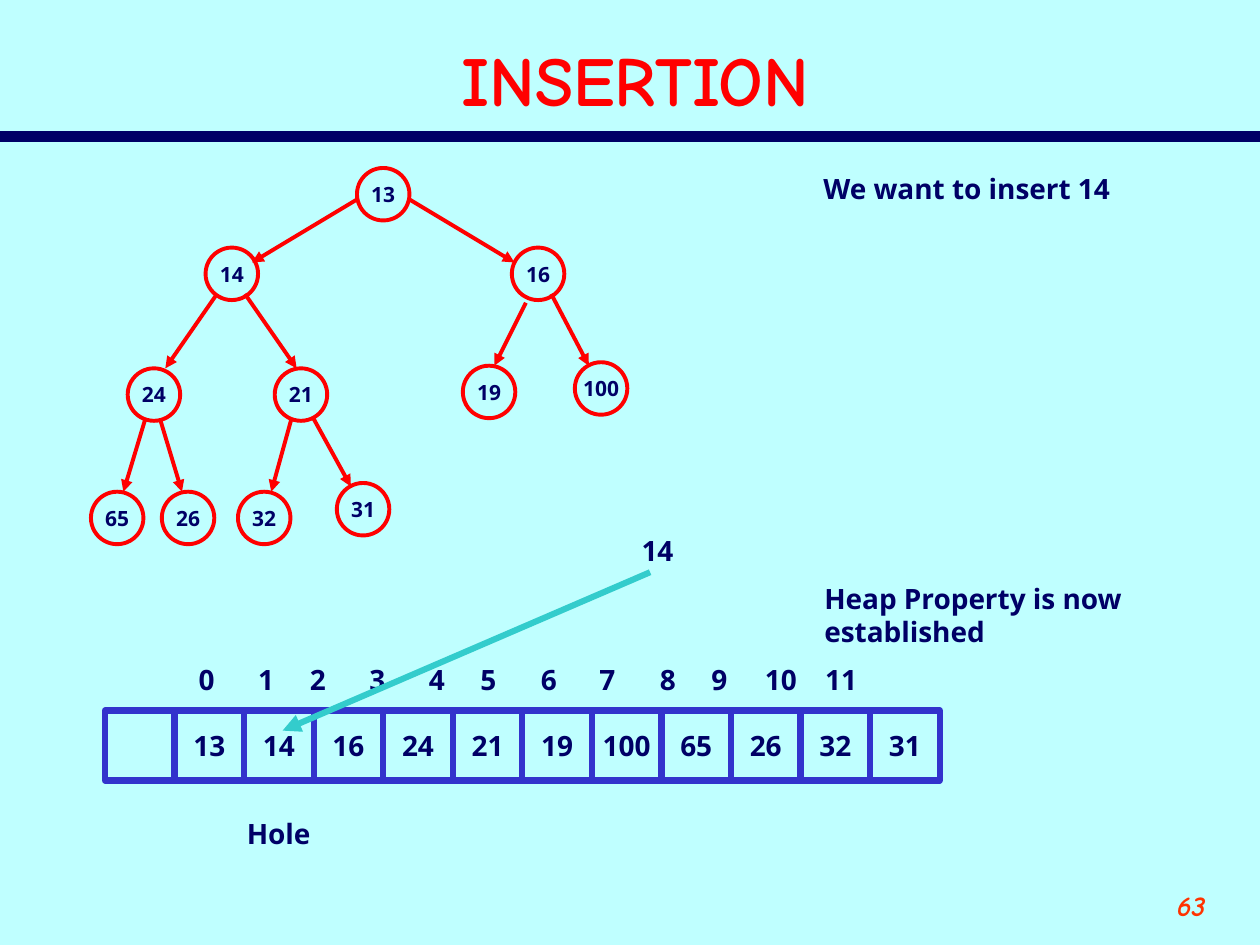
from collections import namedtuple
from dataclasses import dataclass

from lxml import etree
from pptx import Presentation
from pptx.dml.color import RGBColor
from pptx.enum.shapes import MSO_CONNECTOR, MSO_SHAPE
from pptx.enum.text import MSO_ANCHOR, MSO_AUTO_SIZE, PP_ALIGN
from pptx.oxml.ns import qn
from pptx.util import Pt

STRAIGHT = MSO_CONNECTOR.STRAIGHT
OVAL, RECTANGLE = MSO_SHAPE.OVAL, MSO_SHAPE.RECTANGLE
TOP, MIDDLE = MSO_ANCHOR.TOP, MSO_ANCHOR.MIDDLE
LEFT, CENTER, RIGHT = PP_ALIGN.LEFT, PP_ALIGN.CENTER, PP_ALIGN.RIGHT
NO_AUTOFIT = MSO_AUTO_SIZE.NONE
TITLE_ONLY = 5

Box = namedtuple("Box", "left top width height")


@dataclass(frozen=True)
class Theme:
    background: str = "BFFFFF"
    ink: str = "000066"
    title: str = "FF0000"
    number: str = "FF3300"
    tree: str = "FF0000"
    cell: str = "3333CC"
    pointer: str = "33CCCC"
    display_font: str = "Comic Neue"
    body_font: str = "Noto Sans"
    title_size: int = 40
    body_size: int = 16
    node_size: int = 12
    rule_width: float = 6
    cell_width: float = 3.5
    tree_width: float = 2.25


THEME = Theme()

NODE_DIAMETER = 30
NODES = [
    ("13", 152, 0),
    ("14", 65.5, 45.5), ("16", 240.5, 45.5),
    ("24", 21, 114.5), ("21", 105, 114.5), ("19", 212.5, 113), ("100", 276.5, 111),
    ("65", 0, 185), ("26", 40.5, 185), ("32", 84, 185), ("31", 140.5, 180),
]
EDGES = [
    ((152, 18), (92, 54)), ((182, 18), (242, 54)),
    ((72, 72), (42.5, 114.5)), ((88, 72), (117.5, 114.5)),
    ((248.5, 77), (230.5, 113)), ((263, 72), (284.5, 113)),
    ((31, 143.5), (18.5, 185)), ((39.5, 143.5), (52, 185)),
    ((114.5, 143.5), (103, 185)), ((126.5, 142), (148.5, 182)),
]
CELL_VALUES = ["", "13", "14", "16", "24", "21", "19", "100", "65", "26", "32", "31"]
INDEX_STOPS = [34, 63.5, 97.5, 131.5, 161, 195.5, 229, 263.5, 293, 323.5, 358]


def rgb(color):
    return RGBColor.from_string(color)


def write_text(text_frame, *lines, size=THEME.body_size, font=THEME.body_font,
               color=THEME.ink, italic=False, align=LEFT, anchor=TOP,
               wrap=True, margins=(7.2, 3.6), tab_stops=()):
    text_frame.auto_size = NO_AUTOFIT
    text_frame.word_wrap = wrap
    text_frame.vertical_anchor = anchor
    text_frame.margin_left = text_frame.margin_right = Pt(margins[0])
    text_frame.margin_top = text_frame.margin_bottom = Pt(margins[1])
    for position, line in enumerate(lines):
        paragraph = text_frame.paragraphs[0] if position == 0 else text_frame.add_paragraph()
        paragraph.text = line
        paragraph.alignment = align
        if tab_stops:
            tab_list = etree.SubElement(paragraph._p.get_or_add_pPr(), qn("a:tabLst"))
            for stop in tab_stops:
                etree.SubElement(tab_list, qn("a:tab"), pos=str(Pt(stop)), algn="l")
        paragraph.font.name = font
        paragraph.font.size = Pt(size)
        paragraph.font.bold = True
        paragraph.font.italic = italic
        paragraph.font.color.rgb = rgb(color)


def add_label(slide, box, *lines, **text_format):
    label = slide.shapes.add_textbox(*map(Pt, box))
    write_text(label.text_frame, *lines, **text_format)


def add_outline(slide, kind, box, color, width, text, **text_format):
    shape = slide.shapes.add_shape(kind, *map(Pt, box))
    shape.shadow.inherit = False
    shape.fill.background()
    shape.line.color.rgb = rgb(color)
    shape.line.width = Pt(width)
    if text:
        write_text(shape.text_frame, text, align=CENTER, anchor=MIDDLE,
                   wrap=False, margins=(0, 0), **text_format)


def add_line(slide, start, end, color, width, arrow=True):
    connector = slide.shapes.add_connector(STRAIGHT, *map(Pt, (*start, *end)))
    connector.line.color.rgb = rgb(color)
    connector.line.width = Pt(width)
    if arrow:
        etree.SubElement(connector.line._get_or_add_ln(), qn("a:tailEnd"), type="triangle")
    etree.SubElement(connector._element.spPr, qn("a:effectLst"))


def add_header(slide, box):
    title = slide.shapes.title
    title.left, title.top = Pt(box.left + 30), Pt(box.top + 18)
    title.width, title.height = Pt(box.width - 54), Pt(54)
    write_text(title.text_frame, "INSERTION", size=THEME.title_size,
               font=THEME.display_font, color=THEME.title, align=CENTER, anchor=MIDDLE)
    bottom = box.top + box.height
    add_line(slide, (box.left, bottom), (box.left + box.width, bottom),
             THEME.ink, THEME.rule_width, arrow=False)


def add_tree(slide, box):
    for start, end in EDGES:
        add_line(slide, (box.left + start[0], box.top + start[1]),
                 (box.left + end[0], box.top + end[1]), THEME.tree, THEME.tree_width)
    for value, left, top in NODES:
        node_box = Box(box.left + left, box.top + top, NODE_DIAMETER, NODE_DIAMETER)
        add_outline(slide, OVAL, node_box, THEME.tree, THEME.tree_width, value,
                    size=THEME.node_size)


def add_array(slide, box):
    left, top, width, height = box
    indices = "\t".join(str(index) for index in range(len(CELL_VALUES)))
    add_label(slide, Box(left + 46.5, top - 31, 391, 26.5), indices, tab_stops=INDEX_STOPS)
    step = width / len(CELL_VALUES)
    for position, value in enumerate(CELL_VALUES):
        cell_box = Box(left + position * step, top, step, height)
        add_outline(slide, RECTANGLE, cell_box, THEME.cell, THEME.cell_width, value)
    add_label(slide, Box(left + 74, top + 57, 60, 26.5), "Hole")
    add_label(slide, Box(left + 299.5, top - 104.5, 40, 26.5), "14")
    add_line(slide, (left + 311.5, top - 79), (left + 101.5, top + 11.5),
             THEME.pointer, THEME.cell_width)


def add_notes_column(slide, box):
    left, top, width, height = box
    add_label(slide, Box(left, top, width, 26.5), "We want to insert 14")
    add_label(slide, Box(left + 0.5, top + height - 46, width, 46),
              "Heap Property is now", "established")


def add_slide_number(slide, box):
    add_label(slide, box, "63", font=THEME.display_font, color=THEME.number,
              italic=True, align=RIGHT)


def main():
    presentation = Presentation()
    presentation.slide_width, presentation.slide_height = Pt(720), Pt(540)
    slide = presentation.slides.add_slide(presentation.slide_layouts[TITLE_ONLY])
    slide.background.fill.solid()
    slide.background.fill.fore_color.rgb = rgb(THEME.background)
    add_header(slide, Box(0, 0, 720, 78))
    add_tree(slide, Box(52, 96, 306.5, 215))
    add_array(slide, Box(60, 406, 477, 40))
    add_notes_column(slide, Box(463.5, 94.5, 200, 280))
    add_slide_number(slide, Box(624, 504, 72, 36))
    presentation.save("out.pptx")


if __name__ == "__main__":
    main()
